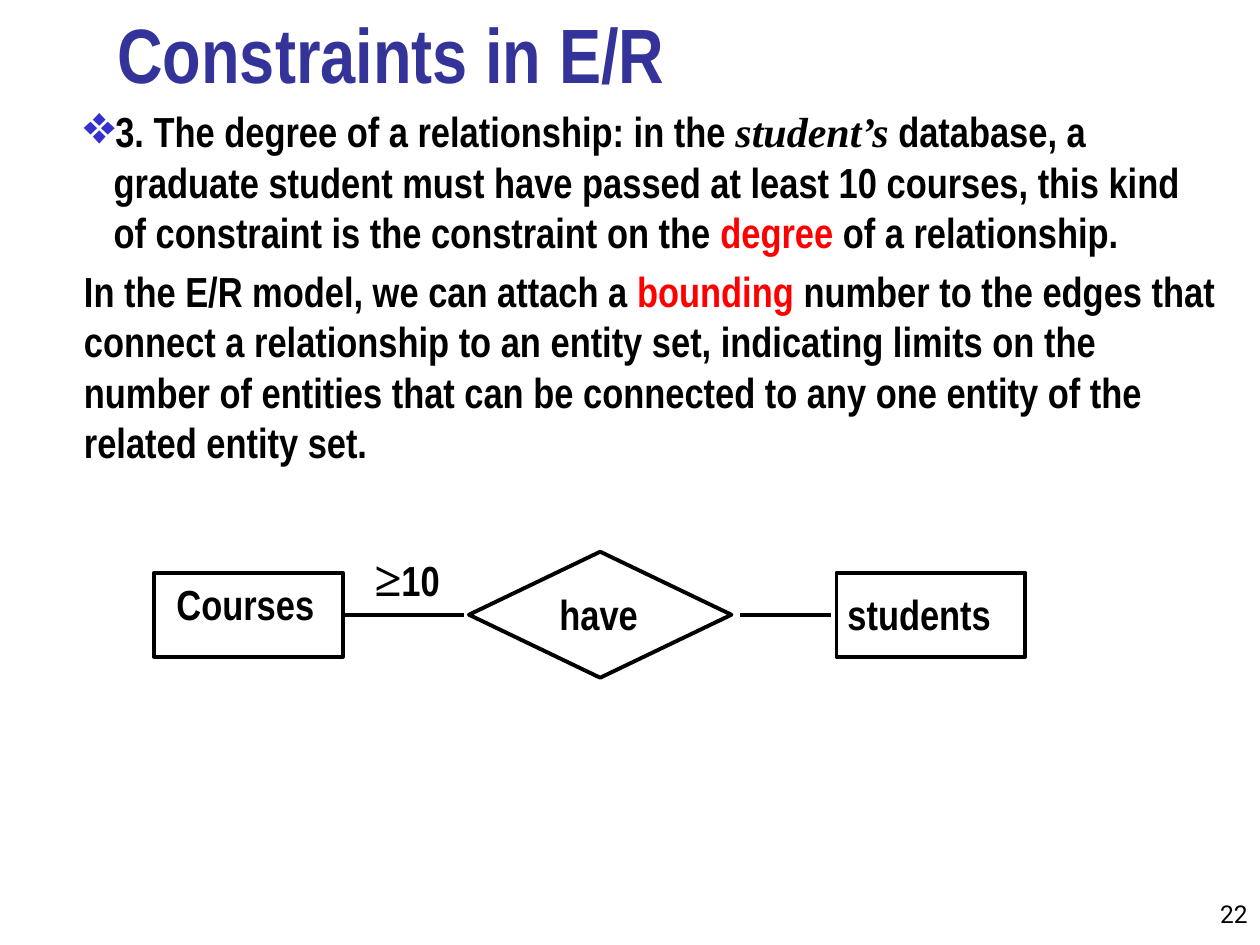
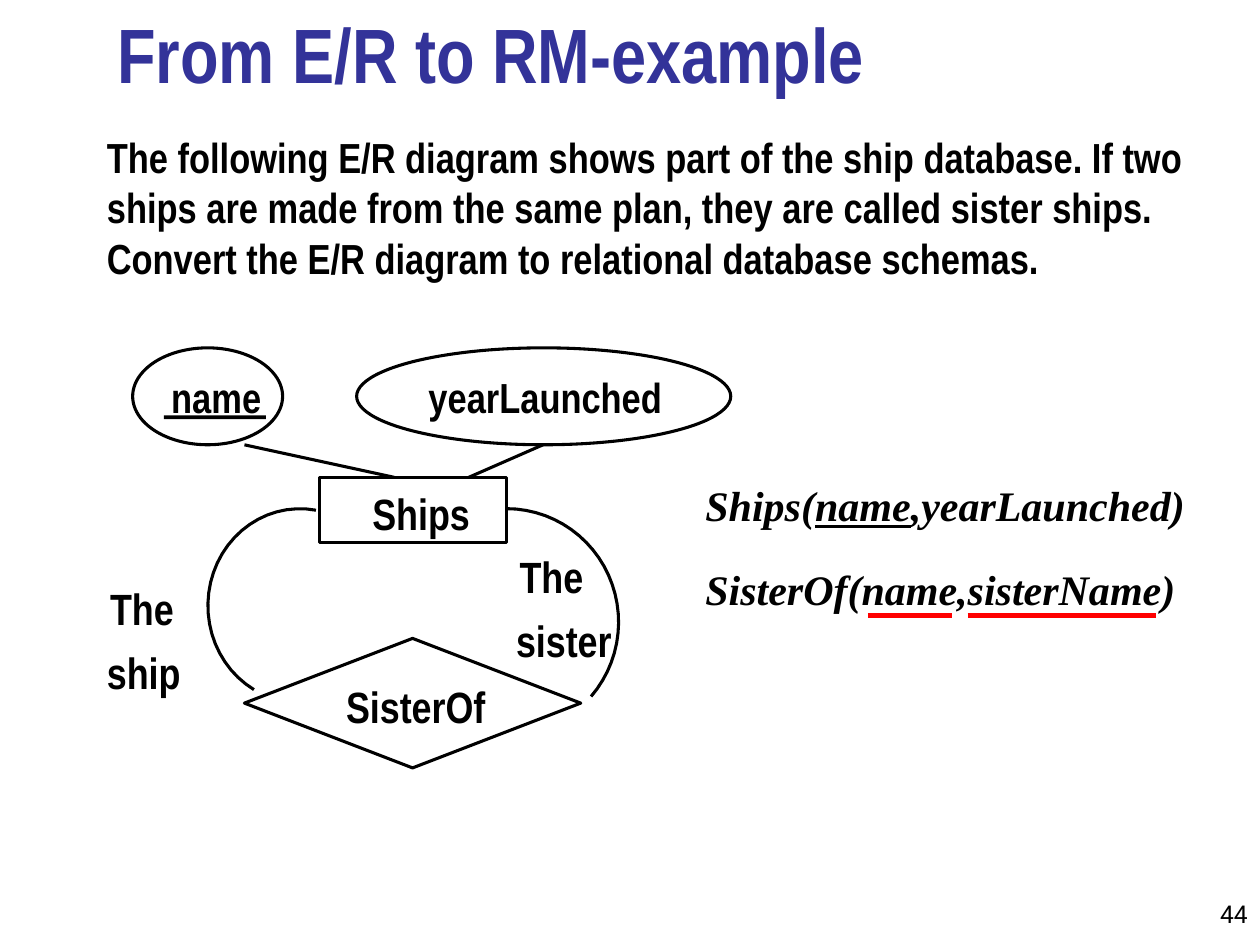
import math

import pptx
import pptx.dml.color
import pptx.enum.shapes
import pptx.enum.text
import pptx.oxml.ns
import pptx.util
from lxml import etree

Pt = pptx.util.Pt
SHAPE = pptx.enum.shapes.MSO_SHAPE
ALIGN = pptx.enum.text.PP_ALIGN
ANCHOR = pptx.enum.text.MSO_ANCHOR

BLACK, RED, TITLE_BLUE, BULLET_BLUE = "000000", "FF0000", "333399", "3333CC"
NARROW, SERIF, NUMBER_FONT = "Arial Narrow", "Times New Roman", "Roboto"
INSETS = (7.2, 3.6)


def color(value):
    return pptx.dml.color.RGBColor.from_string(value)


def add_span(para, text, size=24, font=NARROW, ink=BLACK, bold=True,
             italic=False, underline=False):
    span = para.add_run()
    span.text = text
    span.font.size = Pt(size)
    span.font.name = font
    span.font.color.rgb = color(ink)
    span.font.bold = bold
    span.font.italic = italic
    span.font.underline = underline


def add_text(page, box, wrap=True, insets=INSETS, anchor=ANCHOR.TOP, align=ALIGN.LEFT):
    """Add an empty text box and return its text frame."""
    frame = page.shapes.add_textbox(*map(Pt, box)).text_frame
    frame.word_wrap = wrap
    frame.vertical_anchor = anchor
    frame.margin_left = frame.margin_right = Pt(insets[0])
    frame.margin_top = frame.margin_bottom = Pt(insets[1])
    frame.paragraphs[0].alignment = align
    return frame


def add_label(page, box, text, size=24, **layout):
    frame = add_text(page, box, wrap=False, **layout)
    add_span(frame.paragraphs[0], text, size)


def set_outline(shape, weight):
    shape.shadow.inherit = False
    shape.fill.background()
    shape.line.color.rgb = color(BLACK)
    shape.line.width = Pt(weight)


def add_outline(page, kind, box, weight):
    shape = page.shapes.add_shape(kind, *map(Pt, box))
    set_outline(shape, weight)
    return shape


def add_line(page, start, end, weight, ink=BLACK):
    line = page.shapes.add_connector(
        pptx.enum.shapes.MSO_CONNECTOR.STRAIGHT, *map(Pt, start + end))
    line.line.color.rgb = color(ink)
    line.line.width = Pt(weight)
    properties = line._element.spPr
    etree.SubElement(properties, pptx.oxml.ns.qn("a:effectLst"))
    return line


def add_arc(page, center, radii, first, last, weight, steps=26):
    """Draw part of an ellipse, with angles in degrees clockwise from the right."""
    points = []
    for step in range(steps + 1):
        angle = math.radians(first + (last - first) * step / steps)
        points.append((Pt(center[0] + radii[0] * math.cos(angle)),
                       Pt(center[1] + radii[1] * math.sin(angle))))
    builder = page.shapes.build_freeform(*points[0], scale=1.0)
    builder.add_line_segments(points[1:], close=False)
    set_outline(builder.convert_to_shape(), weight)


def set_bullet(para, mark, ink, indent, percent):
    properties = para._p.get_or_add_pPr()
    properties.set("marL", str(Pt(indent)))
    properties.set("indent", str(-Pt(indent)))
    bullet_color = etree.SubElement(properties, pptx.oxml.ns.qn("a:buClr"))
    etree.SubElement(bullet_color, pptx.oxml.ns.qn("a:srgbClr")).set("val", ink)
    etree.SubElement(properties, pptx.oxml.ns.qn("a:buSzPct")).set("val", str(percent * 1000))
    etree.SubElement(properties, pptx.oxml.ns.qn("a:buChar")).set("char", mark)


def add_page(deck, title, number):
    """Start a page with its title and page number."""
    page = deck.slides.add_slide(deck.slide_layouts[6])
    number_frame = add_text(page, (672, 498, 48, 36), anchor=ANCHOR.BOTTOM, align=ALIGN.RIGHT)
    add_span(number_frame.paragraphs[0], number, 14, NUMBER_FONT, bold=False)
    title_frame = add_text(page, (60, 6, 613, 54), anchor=ANCHOR.BOTTOM)
    add_span(title_frame.paragraphs[0], title, 44, ink=TITLE_BLUE)
    return page


def degree_text(page, box):
    frame = add_text(page, box, insets=(0, 0))
    rule = frame.paragraphs[0]
    set_bullet(rule, "❖", BULLET_BLUE, 17, 130)
    add_span(rule, "3. The degree of a relationship: in the ")
    add_span(rule, "student’s", font=SERIF, italic=True)
    add_span(rule, " database, a graduate student must have passed at least 10 courses, "
                   "this kind of constraint is the constraint on the ")
    add_span(rule, "degree", ink=RED)
    add_span(rule, " of a relationship.")

    bound = frame.add_paragraph()
    bound.space_before = Pt(4.8)
    add_span(bound, "In the E/R model, we can attach a ")
    add_span(bound, "bounding", ink=RED)
    add_span(bound, " number to the edges that connect a relationship to an entity set, "
                    "indicating limits on the number of entities that can be connected "
                    "to any one entity of the related entity set.")


def courses_diagram(page, left, top):
    weight = 2.25
    middle = top + 36

    # Entity sets and the relationship
    courses, _ = [add_outline(page, SHAPE.RECTANGLE, (left + x, middle - 24, 108, 48), weight)
                  for x in (0, 390)]
    add_outline(page, SHAPE.FLOWCHART_DECISION, (left + 180, top, 150, 72), weight)
    for text, x, y, width in (("Courses", 5.8, 11.5, 93.6), ("students", 389.2, 17.6, 96.5),
                              ("have", 224.6, 17.6, 59.8)):
        add_label(page, (left + x, top + y, width, 36), text)

    # Edges
    edge = add_line(page, (left + 108, middle), (left + 177, middle), weight)
    edge.begin_connect(courses, 3)
    add_line(page, (left + 335, middle), (left + 387, middle), weight)

    # Bounding number
    bound = add_text(page, (left + 119, top - 6, 78, 41)).paragraphs[0]
    add_span(bound, "≥", 28, SERIF)
    add_span(bound, "10")


def ships_diagram(page, left, top):
    weight = 1.75

    def place(x, y, width, height):
        return left + x, top + y, width, height

    # Entity set, attributes and relationship
    for kind, box in ((SHAPE.OVAL, (14.8, 0, 85.7, 55.4)),
                      (SHAPE.OVAL, (142.8, 0, 213.8, 55.4)),
                      (SHAPE.RECTANGLE, (121.4, 74, 107.3, 37)),
                      (SHAPE.DIAMOND, (78.7, 166, 192.2, 74))):
        add_outline(page, kind, place(*box), weight)

    # Attribute edges
    for ships_x, attribute_x in ((164.4, 78.7), (206.8, 249.3)):
        add_line(page, (left + ships_x, top + 74), (left + attribute_x, top + 55.4), weight)

    # Role edges
    add_arc(page, (left + 110.4, top + 147.3), (52.6, 55.4), 120, 280, weight)
    add_arc(page, (left + 228.4, top + 156.7), (64.1, 64.8), -90, 41, weight)

    # Names, each centred on x in a box with room to spare
    for text, x, y, width, size in (("name", 62.6, 13.4, 64, 24),
                                    ("yearLaunched", 250.6, 13.4, 164, 24),
                                    ("Ships", 179.7, 79.3, 72, 25),
                                    ("SisterOf", 176.6, 189.6, 100, 25),
                                    ("The", 254.1, 115.4, 56, 25),
                                    ("sister", 261.2, 152.2, 72, 25),
                                    ("The", 20.1, 133.4, 56, 25),
                                    ("ship", 21.1, 170.2, 60, 25)):
        add_label(page, place(x - width / 2, y, width, 30), text, size,
                  insets=(0, 0), align=ALIGN.CENTER)

    # Key underline
    key = page.shapes.add_shape(SHAPE.RECTANGLE, *map(Pt, place(32.6, 38.6, 58.3, 2.2)))
    key.shadow.inherit = False
    key.fill.solid()
    key.fill.fore_color.rgb = color(BLACK)
    key.line.fill.background()


def ship_schemas(page, left, top):
    ships = add_text(page, (left, top, 312, 36)).paragraphs[0]
    for text, is_key in (("Ships(", False), ("name", True), (",yearLaunched)", False)):
        add_span(ships, text, font=SERIF, italic=True, underline=is_key)

    sister_of = add_text(page, (left, top + 48, 324, 36)).paragraphs[0]
    add_span(sister_of, "SisterOf(name,sisterName)", font=SERIF, italic=True)
    for start, end in ((100, 148.3), (157, 264.5)):
        add_line(page, (left + start, top + 81), (left + end, top + 81), 3, RED)


def main():
    deck = pptx.Presentation()
    deck.slide_width, deck.slide_height = Pt(720), Pt(540)

    constraints = add_page(deck, "Constraints in E/R", "22")
    degree_text(constraints, (48, 60.4, 648, 207))
    courses_diagram(constraints, 88, 315.3)

    example = add_page(deck, "From E/R to RM-example", "44")
    task = add_text(example, (54, 71.6, 636, 93.6)).paragraphs[0]
    add_span(task, "The following E/R diagram shows part of the ship database. "
                   "If two ships are made from the same plan, they are called sister ships. "
                   "Convert the E/R diagram to relational database schemas.")
    ship_schemas(example, 396, 270.6)
    ships_diagram(example, 61, 198.8)

    deck.save("out.pptx")


if __name__ == "__main__":
    main()
